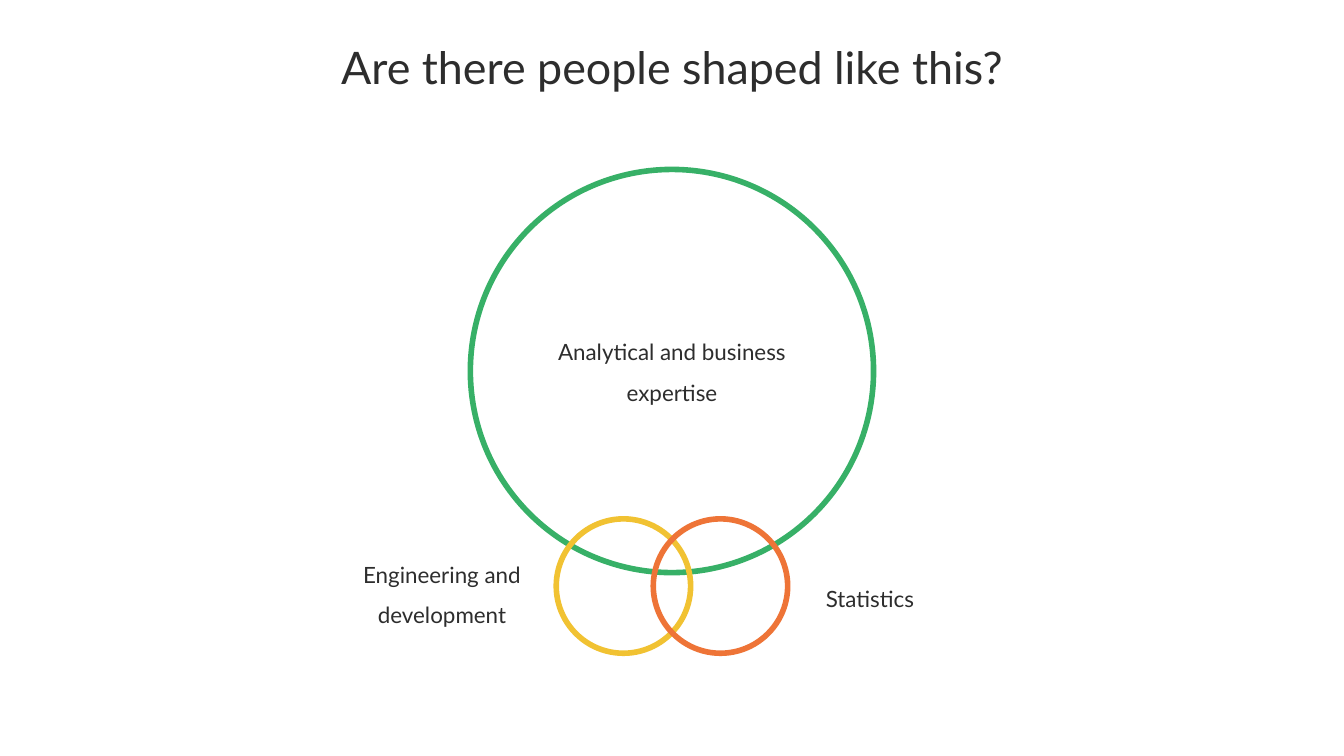
from dataclasses import dataclass

from pptx import Presentation
from pptx.dml.color import RGBColor
from pptx.enum.shapes import MSO_SHAPE
from pptx.enum.text import MSO_ANCHOR, MSO_AUTO_SIZE, PP_ALIGN
from pptx.util import Pt

OVAL = MSO_SHAPE.OVAL
TOP, MIDDLE = MSO_ANCHOR.TOP, MSO_ANCHOR.MIDDLE
NO_FIT = MSO_AUTO_SIZE.NONE
CENTER = PP_ALIGN.CENTER


@dataclass(frozen=True)
class Theme:
    """Colours, font and sizes of the slide."""
    font: str = "Lato"
    text: str = "2D2D2D"
    green: str = "37B067"
    yellow: str = "F1C232"
    orange: str = "EE7437"
    title_size: float = 24
    label_size: float = 12
    line_width: float = 3
    inset: float = 7.2


def set_all(obj, values):
    """Set each attribute named in a dict."""
    for name, value in values.items():
        setattr(obj, name, value)


class SlideBuilder:
    """Draws styled elements on one slide."""

    def __init__(self, slide, theme):
        self.s, self.theme = slide, theme

    def fill_text(self, sp, text, size, anchor, spacing):
        """Put centred text in a shape."""
        inset = Pt(self.theme.inset)
        tf = sp.text_frame
        set_all(tf, {
            "word_wrap": True, "auto_size": NO_FIT, "vertical_anchor": anchor,
            "margin_left": inset, "margin_right": inset,
            "margin_top": inset, "margin_bottom": inset,
        })
        p = tf.paragraphs[0]
        set_all(p, {"alignment": CENTER, "line_spacing": spacing})
        r = p.add_run()
        r.text = text
        set_all(r.font, {"name": self.theme.font, "size": Pt(size)})
        r.font.color.rgb = RGBColor.from_string(self.theme.text)

    def title(self, text, left, top, width, height):
        """Place and fill the title placeholder."""
        sp = self.s.shapes.title
        set_all(sp, {"left": Pt(left), "top": Pt(top),
                     "width": Pt(width), "height": Pt(height)})
        self.fill_text(sp, text, self.theme.title_size, MIDDLE, 1.0)

    def label(self, text, left, top, width, height):
        """Add a text label."""
        sp = self.s.shapes.add_textbox(Pt(left), Pt(top), Pt(width), Pt(height))
        self.fill_text(sp, text, self.theme.label_size, TOP, 1.5)

    def ring(self, color, cx, cy, diameter):
        """Add an unfilled circle around a centre."""
        radius = diameter / 2
        sp = self.s.shapes.add_shape(
            OVAL, Pt(cx - radius), Pt(cy - radius), Pt(diameter), Pt(diameter))
        sp.shadow.inherit = False
        sp.fill.background()
        sp.line.color.rgb = RGBColor.from_string(color)
        sp.line.width = Pt(self.theme.line_width)


def main():
    """Build and save the slide."""
    prs = Presentation()
    set_all(prs, {"slide_width": Pt(720), "slide_height": Pt(405)})
    theme = Theme()
    b = SlideBuilder(prs.slides.add_slide(prs.slide_layouts[5]), theme)
    center, offset = 360, 26

    b.title("Are there people shaped like this?", 61.2, 0, 597.6, 70.8)
    b.ring(theme.green, center, 198.8, 216)
    b.ring(theme.yellow, center - offset, 314, 72)
    b.ring(theme.orange, center + offset, 314, 72)
    b.label("Analytical and business expertise", 275.8, 167, 168.4, 70.8)
    b.label("Engineering and development", 166.2, 286, 141.2, 70.8)
    b.label("Statistics", 402.4, 299.2, 127.4, 57.6)
    prs.save("out.pptx")


if __name__ == "__main__":
    main()
